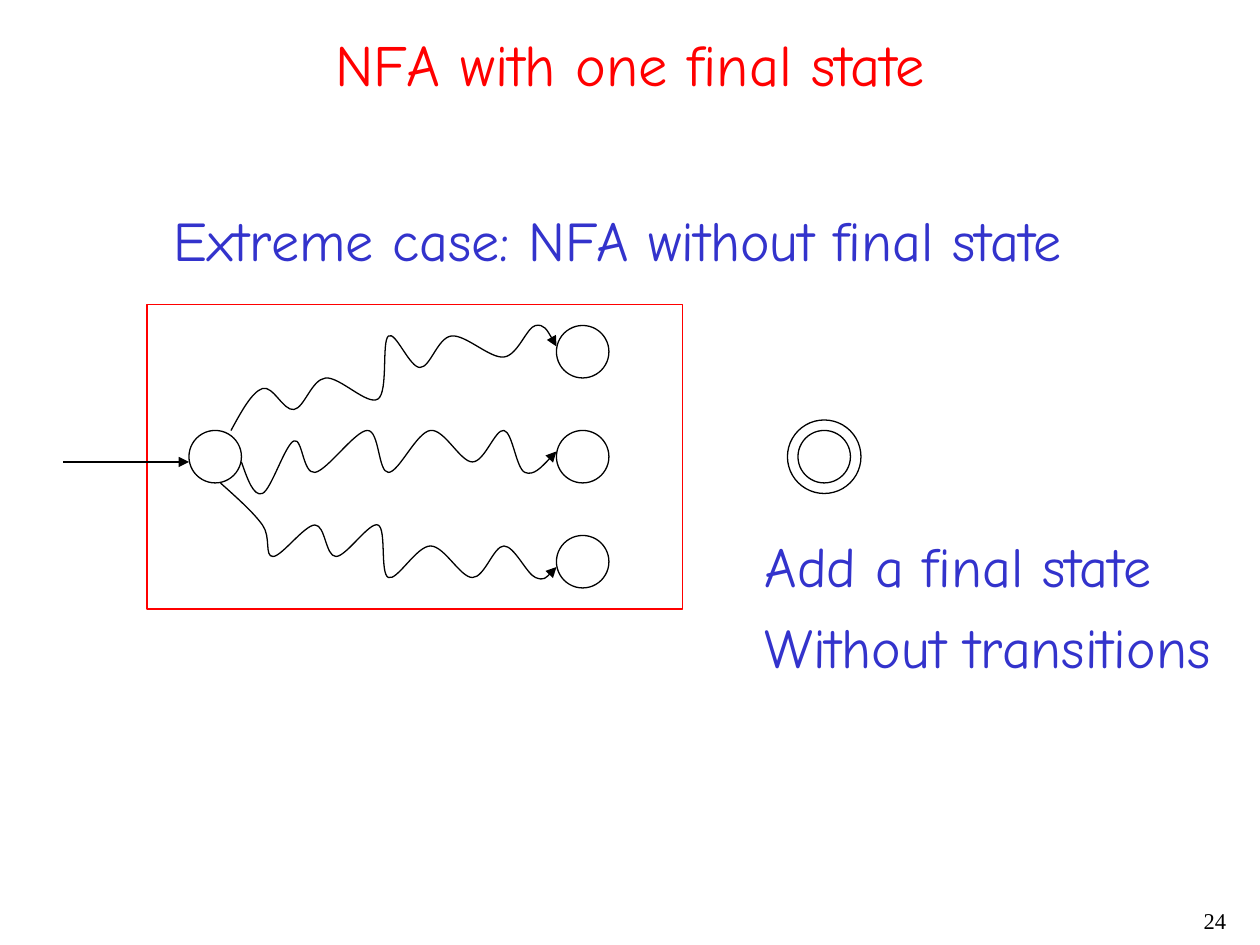
from lxml import etree
from pptx import Presentation
from pptx import util as u
from pptx.dml.color import RGBColor
from pptx.enum import shapes, text
from pptx.oxml.ns import qn

RED = RGBColor(0xFF, 0x00, 0x00)
BLUE = RGBColor(0x33, 0x33, 0xCC)
BLACK = RGBColor(0x00, 0x00, 0x00)
COMIC, TIMES = "Comic Neue", "Times New Roman"

# The drawing sits on a grid of 1/12 inch.
AUTOMATON_BOX = (14, 29, 51, 29)  # left, top, width, height
STATES = [  # left, top, diameter
    (18, 41, 5),
    (53, 31, 5), (53, 41, 5), (53, 51, 5),
    (76, 41, 5), (75, 40, 7),  # the added final state: inner and outer ring
]
START_ARROW = (6, 44, 18, 44)
WALKS = [
    [(22, 41), (25, 37), (28, 39), (31, 36), (36, 38), (37, 32),
     (40, 35), (43, 32), (48, 34), (51, 31), (53, 33)],
    [(23, 44), (25, 47), (28, 42), (30, 45), (35, 41), (37, 45),
     (41, 41), (45, 44), (48, 41), (50, 45), (53, 43)],
    [(21, 46), (25, 50), (26, 53), (30, 50), (32, 53), (36, 50),
     (37, 55), (41, 52), (45, 55), (48, 52), (51, 55), (53, 54)],
]

# lines, (left, top, width, height) in inches, font, size, colour, alignment, wrap
LEFT, CENTER, RIGHT = text.PP_ALIGN.LEFT, text.PP_ALIGN.CENTER, text.PP_ALIGN.RIGHT
TEXTS = [
    (["24"], (7.75, 7.17, 2.08, 0.33), TIMES, 12.9, BLACK, RIGHT, True),
    (["NFA with one final state"], (0.17, 0.17, 9.67, 0.67),
     COMIC, 33.3, RED, CENTER, True),
    (["Extreme case: NFA without final state"], (1.28, 1.58, 7.29, 0.64),
     COMIC, 32, BLUE, LEFT, False),
    (["Add a final state", "Without transitions"], (5.97, 4.17, 3.75, 1.28),
     COMIC, 32, BLUE, LEFT, False),
]


def grid(*cells):
    return [u.Inches(cell / 12) for cell in cells]


def set_outline(item, color):
    item.line.color.rgb = color
    item.line.width = u.Pt(0.75)


def add_arrowhead(item):
    etree.SubElement(item.line._get_or_add_ln(), qn("a:tailEnd"), type="triangle")


def add_outline_shape(slide, kind, box, color):
    shape = slide.shapes.add_shape(kind, *grid(*box))
    shape.shadow.inherit = False
    shape.fill.background()
    set_outline(shape, color)


def smooth_controls(points):
    """Return the two control points of each segment of a smooth curve."""
    last = len(points) - 1
    controls = []
    for i in range(last):
        (x0, y0), (x1, y1) = points[i], points[i + 1]
        before, after = points[max(i - 1, 0)], points[min(i + 2, last)]
        leave = (x0 + (x1 - before[0]) / 6, y0 + (y1 - before[1]) / 6)
        arrive = (x1 - (after[0] - x0) / 6, y1 - (after[1] - y0) / 6)
        if i == 0:
            leave = ((x0 + arrive[0]) / 2, (y0 + arrive[1]) / 2)
        if i == last - 1:
            arrive = ((x1 + leave[0]) / 2, (y1 + leave[1]) / 2)
        controls.append((leave, arrive))
    return controls


def add_walk(slide, cells):
    """Draw a wavy arrow through the given grid points."""
    points = [grid(*cell) for cell in cells]
    builder = slide.shapes.build_freeform(*points[0], scale=1.0)
    builder.add_line_segments(points[1:], close=False)
    walk = builder.convert_to_shape()
    walk.shadow.inherit = False
    walk.fill.background()
    set_outline(walk, BLACK)
    add_arrowhead(walk)

    segments = list(walk._element.iter(qn("a:lnTo")))
    for segment, controls in zip(segments, smooth_controls(points)):
        segment.tag = qn("a:cubicBezTo")
        for position, (x, y) in enumerate(controls):
            point = etree.Element(qn("a:pt"), x=str(round(x - walk.left)),
                                  y=str(round(y - walk.top)))
            segment.insert(position, point)


def add_start_arrow(slide):
    arrow = slide.shapes.add_connector(shapes.MSO_CONNECTOR.STRAIGHT, *grid(*START_ARROW))
    set_outline(arrow, BLACK)
    add_arrowhead(arrow)
    etree.SubElement(arrow._element.spPr, qn("a:effectLst"))


def add_text(slide, lines, box, font, size, color, alignment, wrap):
    frame = slide.shapes.add_textbox(*map(u.Inches, box)).text_frame
    frame.text = "\n".join(lines)
    frame.word_wrap = wrap
    if not wrap:
        frame.auto_size = text.MSO_AUTO_SIZE.SHAPE_TO_FIT_TEXT
    if alignment == CENTER:
        frame.vertical_anchor = text.MSO_ANCHOR.MIDDLE
    for number, paragraph in enumerate(frame.paragraphs):
        paragraph.alignment = alignment
        if number:
            paragraph.space_before = u.Pt(8)
        if alignment == RIGHT:
            paragraph.line_spacing = 0.9
        for run in paragraph.runs:
            run.font.name = font
            run.font.size = u.Pt(size)
            run.font.color.rgb = color


def main():
    deck = Presentation()
    deck.slide_width, deck.slide_height = u.Inches(10), u.Inches(7.5)
    slide = deck.slides.add_slide(deck.slide_layouts[6])

    add_outline_shape(slide, shapes.MSO_SHAPE.RECTANGLE, AUTOMATON_BOX, RED)
    for left, top, diameter in STATES:
        add_outline_shape(slide, shapes.MSO_SHAPE.OVAL,
                          (left, top, diameter, diameter), BLACK)
    add_start_arrow(slide)
    for cells in WALKS:
        add_walk(slide, cells)
    for entry in TEXTS:
        add_text(slide, *entry)

    deck.save("out.pptx")


if __name__ == "__main__":
    main()
